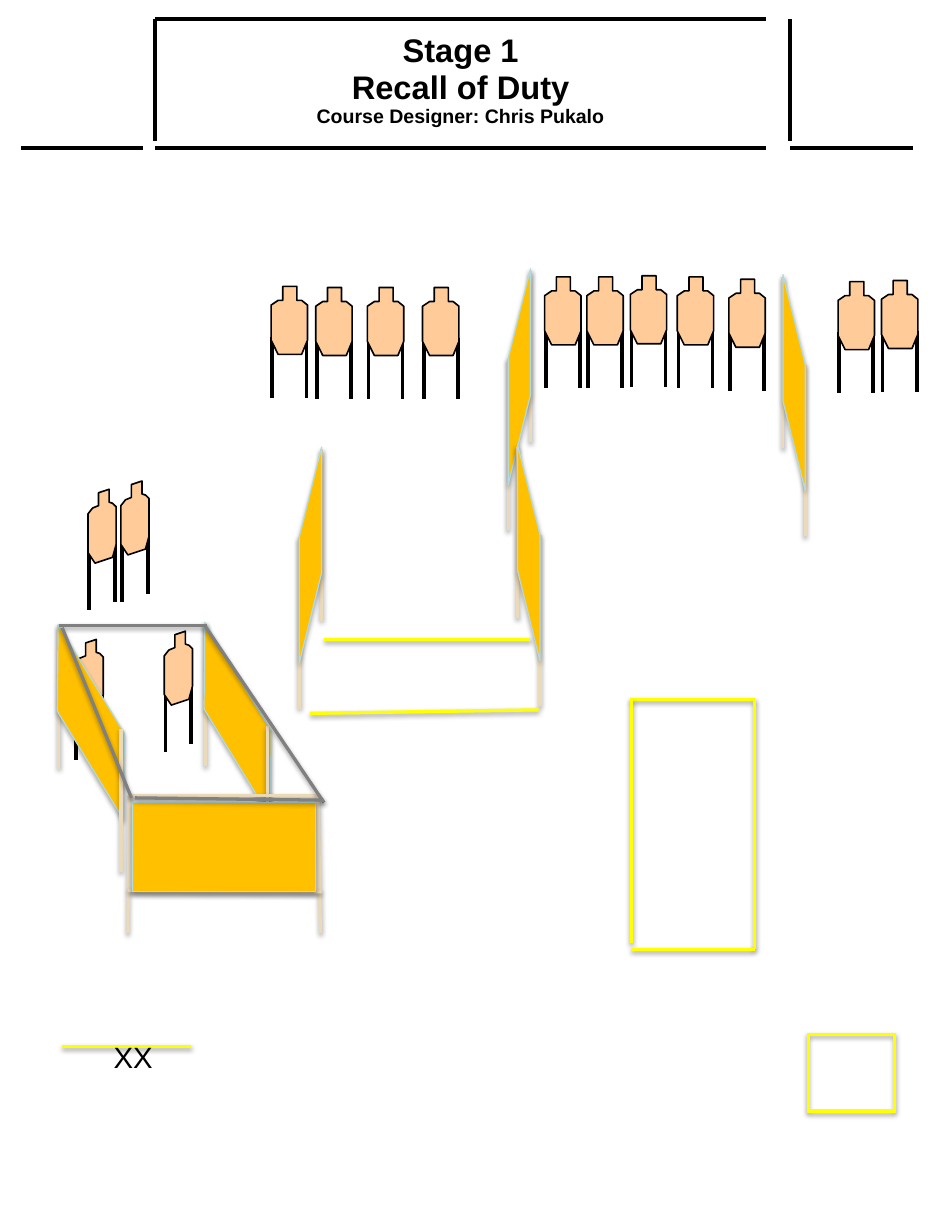
from lxml import etree
from pptx import Presentation
from pptx.dml.color import RGBColor
from pptx.enum.shapes import MSO_CONNECTOR, MSO_SHAPE
from pptx.enum.text import MSO_ANCHOR, MSO_AUTO_SIZE, PP_ALIGN
from pptx.oxml import parse_xml
from pptx.oxml.ns import nsdecls, qn
from pptx.util import Inches, Pt

COLORS = {
    "ink": "000000", "paper": "FFFFFF", "post": "EBDAB9", "panel": "FFC000",
    "edge": "B5DADD", "target": "FFCC99", "fault": "FFFF00", "rail": "808080",
}
FACING = {
    "outline": [(.1, 0), (.22, 0), (.22, .12), (.26, .12), (.31, .16), (.31, .46),
                (.26, .58), (.06, .58), (0, .46), (0, .16), (.06, .12), (.1, .12)],
    "legs": [(.01, .43), (.3, .43)],
}
ANGLED = {
    "outline": [(.09, .03), (.18, 0), (.18, .11), (.21, .12), (.24, .15), (.24, .47),
                (.21, .58), (.06, .63), (0, .54), (0, .21), (.04, .16), (.09, .14)],
    "legs": [(.01, .51), (.23, .44)],
}


def color(name):
    return RGBColor.from_string(COLORS[name])


def add_shadow(sp, alpha, dist):
    sp._element.spPr.append(parse_xml(
        f'<a:effectLst {nsdecls("a")}><a:outerShdw blurRad="{Pt(3.1)}" dist="{Pt(dist)}" '
        f'dir="5400000" rotWithShape="0"><a:srgbClr val="{COLORS["ink"]}">'
        f'<a:alpha val="{alpha * 1000}"/></a:srgbClr></a:outerShdw></a:effectLst>'))


def add_line(s, x1, y1, x2, y2, name, width=2.0, shadow=True):
    sp = s.shapes.add_connector(MSO_CONNECTOR.STRAIGHT, Inches(x1), Inches(y1),
                                Inches(x2), Inches(y2))
    sp.line.color.rgb = color(name)
    sp.line.width = Pt(width)
    if shadow:
        add_shadow(sp, 38, 1.6)
    else:
        etree.SubElement(sp._element.spPr, qn("a:effectLst"))
    return sp


def paint(sp, fill, line, width):
    sp.fill.solid()
    sp.fill.fore_color.rgb = color(fill)
    sp.line.color.rgb = color(line)
    sp.line.width = Pt(width)


def add_panel(s, kind, x, y, w, h, fill="panel", line="edge", adj=None, rot=0, flip=False):
    sp = s.shapes.add_shape(kind, Inches(x), Inches(y), Inches(w), Inches(h))
    paint(sp, fill, line, 0.75)
    add_shadow(sp, 35, 1.8)
    if adj is not None:
        sp.adjustments[0] = adj
    sp.rotation = rot
    if flip:
        sp._element.spPr.xfrm.set("flipH", "1")
    return sp


def add_run(p, text, size, bold=False):
    r = p.add_run()
    r.text = text
    r.font.name = "Arial"
    r.font.size = Pt(size)
    r.font.bold = bold
    r.font.color.rgb = color("ink")


def add_header(s, x, y, w, h):
    sp = s.shapes.title
    sp.left, sp.top, sp.width, sp.height = Inches(x), Inches(y), Inches(w), Inches(h)
    sp.fill.solid()
    sp.fill.fore_color.rgb = color("paper")
    tf = sp.text_frame
    tf.word_wrap = True
    tf.auto_size = MSO_AUTO_SIZE.NONE
    tf.vertical_anchor = MSO_ANCHOR.MIDDLE
    tf.margin_left = tf.margin_right = tf.margin_bottom = Inches(0.05)
    tf.margin_top = Inches(0.07)
    rows = [("Stage 1", 20), ("Recall of Duty", 20), ("Course Designer: Chris Pukalo", 12)]
    for i, (text, size) in enumerate(rows):
        p = tf.add_paragraph() if i else tf.paragraphs[0]
        p.alignment = PP_ALIGN.CENTER
        p.line_spacing = 0.93
        p.space_before = p.space_after = Pt(0)
        add_run(p, text, size, True)
    right, side, base = x + w + 0.2, 1.05, y + 1.1
    rules = [(x, y, x + w, y), (0.18, base, 1.22, base), (x, base, x + w, base),
             (right, base, right + side, base), (x, y, x, y + h), (right, y, right, y + h)]
    for rule in rules:
        add_line(s, *rule, "ink", 2.15, False)


def add_target(s, x, y, style):
    legs = [add_line(s, x + dx, y + dy, x + dx, y + dy + 0.52, "ink", 2.25, False)
            for dx, dy in style["legs"]]
    points = [(Inches(x + dx), Inches(y + dy)) for dx, dy in style["outline"]]
    builder = s.shapes.build_freeform(*points[0])
    builder.add_line_segments(points[1:], close=True)
    body = builder.convert_to_shape()
    paint(body, "target", "ink", 1)
    body.shadow.inherit = False
    s.shapes.add_group_shape(legs + [body])


def add_upright_wall(s, x, y, near_left):
    w, h = 0.19, 1.84
    near, far = (x, x + w) if near_left else (x + w, x)
    posts = [add_line(s, px, y + dy, px, y + dy + 1.46, "post")
             for px, dy in ((near, 0.77), (far, 0.02))]
    panel = add_panel(s, MSO_SHAPE.PARALLELOGRAM, x + (w - h) / 2, y + (h - w) / 2, h, w,
                      adj=4.026, rot=90 if near_left else 270, flip=near_left)
    s.shapes.add_group_shape(posts + [panel])


def add_slanted_wall(s, x, y):
    far = add_line(s, x, y, x, y + 1.22, "post")
    panel = add_panel(s, MSO_SHAPE.PARALLELOGRAM, x - 0.58, y + 0.63, 1.71, 0.39,
                      adj=1.605, rot=58.6, flip=True)
    near = add_line(s, x + 0.53, y + 0.88, x + 0.53, y + 2.1, "post")
    s.shapes.add_group_shape([far, panel, near])


def add_front_wall(s, x, y, w, h):
    frame = [(x, y, x - 0.01, y + h), (x, y, x + w, y),
             (x + w, y, x + w + 0.02, y + h), (x - 0.01, y + 0.81, x + w + 0.03, y + 0.82)]
    parts = [add_line(s, *ends, "post") for ends in frame]
    parts.append(add_panel(s, MSO_SHAPE.RECTANGLE, x + 0.03, y + 0.06, w - 0.05, 0.76))
    s.shapes.add_group_shape(parts)


def add_room(s):
    add_target(s, 0.64, 5.45, ANGLED)
    add_slanted_wall(s, 1.75, 5.31)
    add_slanted_wall(s, 0.5, 5.33)
    for x, y in ((1.03, 4.1), (0.75, 4.17), (1.4, 5.38)):
        add_target(s, x, y, ANGLED)
    add_front_wall(s, 1.1, 6.78, 1.61, 1.17)
    for rail in ((0.5, 5.33, 1.76, 5.33), (1.75, 5.34, 2.76, 6.84),
                 (0.53, 5.35, 1.12, 6.8), (2.76, 6.82, 1.15, 6.8)):
        add_line(s, *rail, "rail")


def add_fault_box(s, x, y, w, h):
    for ends in ((x - 0.01, y, x + w, y), (x, y, x, y + h - 0.05),
                 (x + w, y, x + w, y + h), (x + w, y + h, x, y + h)):
        add_line(s, *ends, "fault")


def add_start(s, x, y, w):
    add_line(s, x, y, x + w, y, "fault")
    sp = s.shapes.add_textbox(Inches(x + 0.34), Inches(y - 0.11), Inches(0.54), Inches(0.4))
    tf = sp.text_frame
    tf.word_wrap = True
    tf.auto_size = MSO_AUTO_SIZE.SHAPE_TO_FIT_TEXT
    add_run(tf.paragraphs[0], "XX", 18)


def main():
    prs = Presentation()
    prs.slide_width, prs.slide_height = Inches(8), Inches(10.5)
    s = prs.slides.add_slide(prs.slide_layouts[5])
    add_header(s, 1.32, 0.16, 5.21, 1.04)
    add_upright_wall(s, 4.33, 2.29, True)
    add_room(s)
    add_upright_wall(s, 2.55, 3.81, True)
    add_upright_wall(s, 4.41, 3.79, False)
    add_line(s, 2.64, 6.08, 4.59, 6.05, "fault")
    for x, y in ((2.31, 2.44), (3.6, 2.45), (3.13, 2.45), (2.69, 2.45), (5.77, 2.36),
                 (5.37, 2.35), (5, 2.36), (4.64, 2.36), (7.14, 2.4), (7.51, 2.39),
                 (6.21, 2.38)):
        add_target(s, x, y, FACING)
    add_panel(s, MSO_SHAPE.FRAME, 6.88, 8.81, 0.75, 0.67, "fault", "fault", adj=0.028)
    add_upright_wall(s, 6.67, 2.34, False)
    add_fault_box(s, 5.38, 5.96, 1.05, 2.13)
    add_start(s, 0.53, 8.92, 1.1)
    add_line(s, 2.76, 5.45, 4.52, 5.45, "fault")
    prs.save("out.pptx")


if __name__ == "__main__":
    main()
